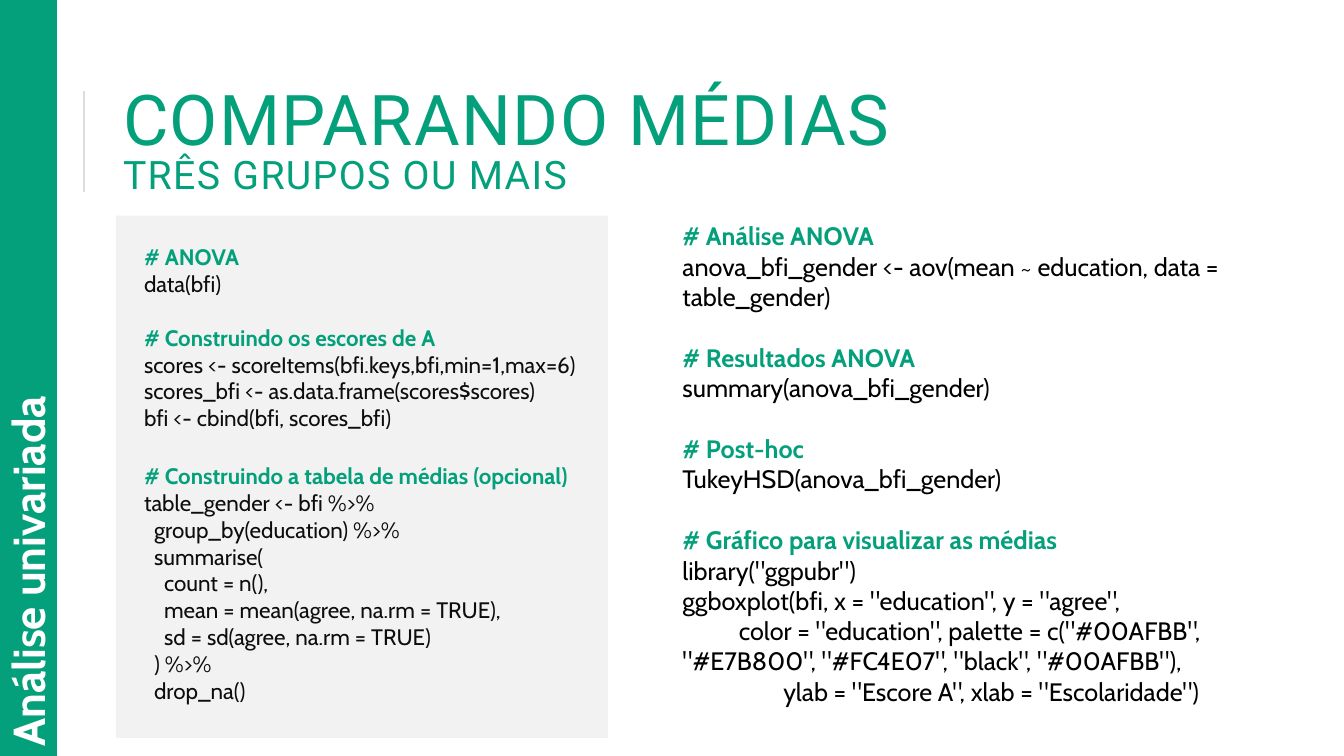
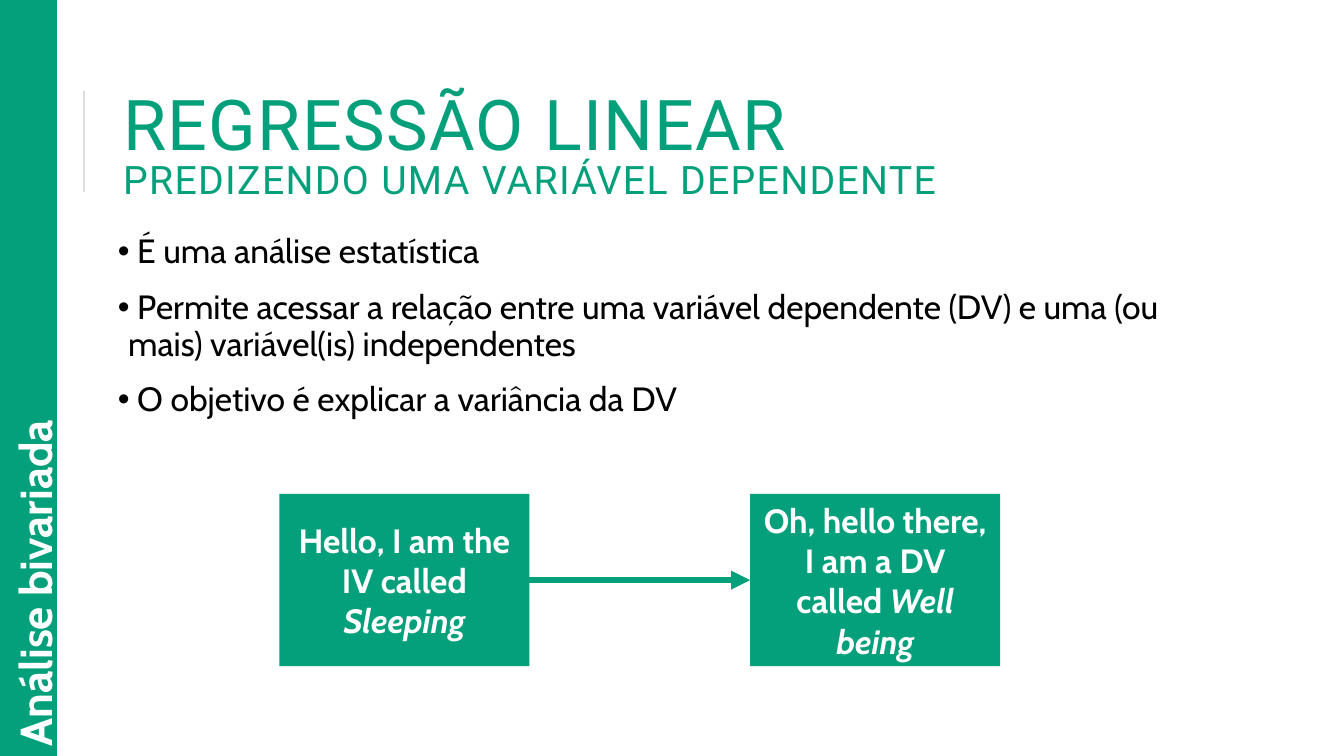
from dataclasses import dataclass

from lxml import etree
from pptx import Presentation
from pptx.dml.color import RGBColor
from pptx.enum import shapes, text
from pptx.oxml import ns
from pptx.util import Inches, Pt


@dataclass(frozen=True)
class Theme:
    green: str = "04A07B"
    white: str = "FFFFFF"
    black: str = "000000"
    ink: str = "0D0D0D"
    panel: str = "F2F2F2"
    divider: str = "DDDDDD"
    title_font: str = "Roboto"
    body_font: str = "Cabin"
    title: int = 50
    subtitle: int = 28
    label: int = 32
    body: int = 24
    code: int = 18
    small_code: int = 16


THEME = Theme()
WIDTH, HEIGHT = 13.33, 7.5
SIDEBAR = 0.56

# Code blocks: heading, space before (points), lines as (indent in inches, code)
DATA_CODE = [
    ("# ANOVA", 0, [(0, "data(bfi)")]),
    ("# Construindo os escores de A", 19.5, [
        (0, "scores <- scoreItems(bfi.keys,bfi,min=1,max=6)"),
        (0, "scores_bfi <- as.data.frame(scores$scores)"),
        (0, "bfi <- cbind(bfi, scores_bfi)"),
    ]),
    ("# Construindo a tabela de médias (opcional)", 22, [
        (0, "table_gender <- bfi %>%"),
        (0.1, "group_by(education) %>%"),
        (0.1, "summarise("),
        (0.2, "count = n(),"),
        (0.2, "mean = mean(agree, na.rm = TRUE),"),
        (0.2, "sd = sd(agree, na.rm = TRUE)"),
        (0.1, ") %>%"),
        (0.1, "drop_na()"),
    ]),
]
ANOVA_CODE = [
    ("# Análise ANOVA", 0, [
        (0, "anova_bfi_gender <- aov(mean ~ education, data = table_gender)"),
    ]),
    ("# Resultados ANOVA", 22, [(0, "summary(anova_bfi_gender)")]),
    ("# Post-hoc", 22, [(0, "TukeyHSD(anova_bfi_gender)")]),
    ("# Gráfico para visualizar as médias", 22, [
        (0, 'library("ggpubr")'),
        (0, 'ggboxplot(bfi, x = "education", y = "agree",'),
        (0.56, 'color = "education", palette = c("#00AFBB", "#E7B800", '
               '"#FC4E07", "black", "#00AFBB"),'),
        (1, 'ylab = "Escore A", xlab = "Escolaridade")'),
    ]),
]
REGRESSION_POINTS = [
    "É uma análise estatística",
    "Permite acessar a relação entre uma variável dependente (DV) e uma "
    "(ou mais) variável(is) independentes",
    "O objetivo é explicar a variância da DV",
]
VARIABLES = [
    (2.77, "Hello, I am the IV called ", "Sleeping"),
    (7.44, "Oh, hello there, I am a DV called ", "Well being"),
]


def color(name):
    return RGBColor.from_string(name)


def style(font, size, tint, face=THEME.body_font, bold=False):
    font.size, font.name, font.bold = Pt(size), face, bold
    font.color.rgb = color(tint)


def place(shape, left, top, width, height):
    shape.left, shape.top = Inches(left), Inches(top)
    shape.width, shape.height = Inches(width), Inches(height)


def indent(paragraph, first, margin=0):
    properties = paragraph._p.get_or_add_pPr()
    properties.set("marL", str(Inches(margin)))
    properties.set("indent", str(Inches(first)))


def add_box(slide, left, top, width, height, fill):
    box = slide.shapes.add_shape(
        shapes.MSO_SHAPE.RECTANGLE,
        Inches(left), Inches(top), Inches(width), Inches(height))
    box.shadow.inherit = False
    box.fill.solid()
    box.fill.fore_color.rgb = color(fill)
    box.line.fill.background()
    return box


def add_line(slide, start, end, tint, width):
    line = slide.shapes.add_connector(
        shapes.MSO_CONNECTOR.STRAIGHT, *map(Inches, start + end))
    line.line.color.rgb = color(tint)
    line.line.width = Pt(width)
    etree.SubElement(line._element.spPr, ns.qn("a:effectLst"))
    return line


def add_text_box(slide, left, top, width, height):
    box = slide.shapes.add_textbox(
        Inches(left), Inches(top), Inches(width), Inches(height))
    box.text_frame.word_wrap = True
    return box


def set_title(slide, top, heading, subheading):
    place(slide.shapes.title, 1.12, top, 10.63, 1.64)
    frame = slide.shapes.title.text_frame
    frame.auto_size = text.MSO_AUTO_SIZE.NONE
    frame.vertical_anchor = text.MSO_ANCHOR.MIDDLE
    paragraph = frame.paragraphs[0]
    paragraph.alignment = text.PP_ALIGN.LEFT
    paragraph.line_spacing = 0.8
    for words, size in ((heading, THEME.title), (subheading, THEME.subtitle)):
        if paragraph.runs:
            paragraph.add_line_break()
        run = paragraph.add_run()
        run.text = words
        style(run.font, size, THEME.green, THEME.title_font)
        run._r.get_or_add_rPr().set("spc", "100")


def add_frame(slide, section, label_left):
    """Draw the divider and the side band with its upright section name."""
    add_line(slide, (0.83, 1.9), (0.83, 0.9), THEME.divider, 1.5)
    band = add_box(slide, 0, 0, SIDEBAR, HEIGHT, THEME.green)
    band.line.color.rgb = color(THEME.green)
    band.line.width = Pt(1.25)
    label = add_text_box(slide, label_left, 4.51, 5.35, 0.64)
    label.rotation = 270
    paragraph = label.text_frame.paragraphs[0]
    paragraph.text = section
    style(paragraph.font, THEME.label, THEME.white, bold=True)


def add_code(slide, area, blocks, size, tint):
    frame = add_text_box(slide, *area).text_frame
    paragraph = frame.paragraphs[0]
    for heading, gap, lines in blocks:
        if paragraph.text:
            paragraph = frame.add_paragraph()
        paragraph.text = heading
        paragraph.space_before = Pt(gap)
        style(paragraph.font, size, THEME.green, bold=True)
        for first, code in lines:
            paragraph = frame.add_paragraph()
            paragraph.text = code
            indent(paragraph, first)
            style(paragraph.font, size, tint)


def add_points(slide, points):
    body = slide.placeholders[1]
    place(body, 1.12, 2.28, 11.12, 2.62)
    frame = body.text_frame
    frame.auto_size = text.MSO_AUTO_SIZE.NONE
    frame.margin_left = frame.margin_right = Inches(0.05)
    frame.margin_top = frame.margin_bottom = Inches(0.05)
    for number, point in enumerate(points):
        paragraph = frame.add_paragraph() if number else frame.paragraphs[0]
        paragraph.text = " " + point
        indent(paragraph, -0.1, 0.1)
        paragraph.line_spacing = 0.9
        paragraph.space_before, paragraph.space_after = Pt(12), Pt(2)
        style(paragraph.font, THEME.body, THEME.black)


def add_variable(slide, left, greeting, name):
    box = add_box(slide, left, 4.9, 2.48, 1.71, THEME.green)
    frame = box.text_frame
    frame.word_wrap = True
    frame.vertical_anchor = text.MSO_ANCHOR.MIDDLE
    paragraph = frame.paragraphs[0]
    paragraph.alignment = text.PP_ALIGN.CENTER
    style(paragraph.font, THEME.body, THEME.white, bold=True)
    paragraph.add_run().text = greeting
    variable = paragraph.add_run()
    variable.text = name
    variable.font.italic = True
    return box


def add_effect(slide, cause, outcome):
    arrow = add_line(slide, (5.25, 5.76), (7.44, 5.76), THEME.green, 4.5)
    arrow.begin_connect(cause, 3)
    arrow.end_connect(outcome, 1)
    etree.SubElement(arrow.line._get_or_add_ln(), ns.qn("a:tailEnd"),
                     type="triangle")


def build_means(deck):
    slide = deck.slides.add_slide(deck.slide_layouts[5])
    set_title(slide, 0.61, "COMPARANDO MÉDIAS", "TRÊS GRUPOS OU MAIS")
    add_frame(slide, "Análise univariada", -2.4)
    add_box(slide, 1.15, 2.14, 4.88, 5.18, THEME.panel)
    add_code(slide, (1.33, 2.36, 4.91, 4.85), DATA_CODE,
             THEME.small_code, THEME.ink)
    add_code(slide, (6.67, 2.14, 6.42, 4.95), ANOVA_CODE,
             THEME.code, THEME.black)


def build_regression(deck):
    slide = deck.slides.add_slide(deck.slide_layouts[1])
    set_title(slide, 0.66, "REGRESSÃO LINEAR",
              "PREDIZENDO UMA VARIÁVEL DEPENDENTE")
    add_frame(slide, "Análise bivariada", -2.33)
    add_points(slide, REGRESSION_POINTS)
    cause, outcome = [add_variable(slide, *item) for item in VARIABLES]
    add_effect(slide, cause, outcome)


def main():
    deck = Presentation()
    deck.slide_width, deck.slide_height = Inches(WIDTH), Inches(HEIGHT)
    build_means(deck)
    build_regression(deck)
    deck.save("out.pptx")


if __name__ == "__main__":
    main()
